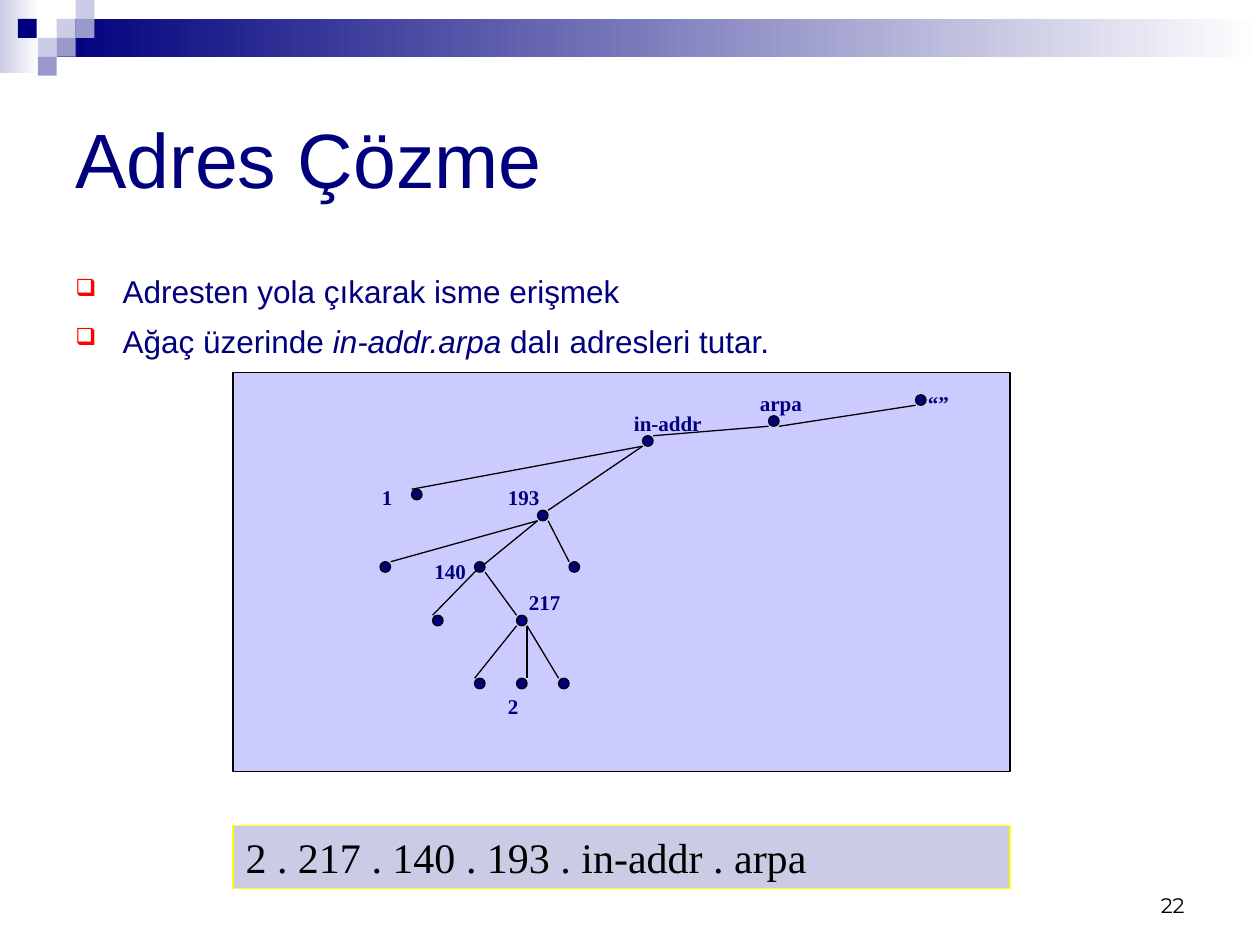
"""Build the reverse address lookup slide with its tree of names."""
from lxml import etree
from pptx import Presentation
from pptx.dml.color import RGBColor
from pptx.enum import shapes, text
from pptx.oxml.ns import qn
from pptx.util import Pt

PX = 7620
DOT = 10
HUES = {"navy": "00007D", "pale": "CCCCE6", "mid": "9999CC", "panel": "9999FF",
        "white": "FFFFFF", "black": "000000", "red": "FF0000", "yellow": "FFFF00"}
HUE = {name: RGBColor.from_string(code) for name, code in HUES.items()}


def draw(kind, box, fill, line=None, alpha=None):
    item = slide.shapes.add_shape(kind, *[n * PX for n in box])
    item.shadow.inherit = False
    if isinstance(fill, tuple):
        item.fill.gradient()
        item.fill.gradient_angle = 0
        for stop, name in zip(item.fill.gradient_stops, fill):
            stop.color.rgb = HUE[name]
    else:
        item.fill.solid()
        item.fill.fore_color.rgb = HUE[fill]
    if alpha:
        tone = item.fill._xPr.find(qn("a:solidFill"))[0]
        etree.SubElement(tone, qn("a:alpha"), val=str(alpha * 1000))
    if line:
        item.line.color.rgb = HUE[line]
        item.line.width = Pt(0.75)
    else:
        item.line.fill.background()
    return item


def write(item, words, size, font, hue, bold=False, anchor="TOP", align="LEFT"):
    frame = item.text_frame
    frame.text = words
    frame.word_wrap = True
    frame.vertical_anchor = text.MSO_ANCHOR[anchor]
    for para in frame.paragraphs:
        para.alignment = text.PP_ALIGN[align]
        for run in para.runs:
            run.font.size = Pt(size)
            run.font.name = font
            run.font.bold = bold
            run.font.color.rgb = HUE[hue]
    return frame


deck = Presentation()
deck.slide_width, deck.slide_height = 1200 * PX, 900 * PX
slide = deck.slides.add_slide(deck.slide_layouts[6])
rect, oval = shapes.MSO_SHAPE.RECTANGLE, shapes.MSO_SHAPE.OVAL

draw(rect, (0, 0, 37, 70), ("pale", "white"))
draw(rect, (54, 18, 1146, 36), ("navy", "white"))
for x, y, hue in [(54, 18, "pale"), (72, 0, "pale"), (72, 18, "mid"), (36, 36, "pale"),
                  (17, 18, "navy"), (54, 36, "mid"), (36, 54, "mid")]:
    draw(rect, (x, y, 18, 18), hue)

for box, words, size, font, hue, anchor, align in [
        ((860, 820, 280, 60), "22", 12, "Montserrat", "black", "BOTTOM", "RIGHT"),
        ((60, 60, 1080, 180), "Adres Çözme", 44, "Arial", "navy", "MIDDLE", "LEFT")]:
    item = slide.shapes.add_textbox(*[n * PX for n in box])
    write(item, words, size, font, hue, anchor=anchor, align=align)

item = slide.shapes.add_textbox(60 * PX, 260 * PX, 1080 * PX, 96 * PX)
body = write(item, "Adresten yola çıkarak isme erişmek\nAğaç üzerinde ", 18, "Arial", "navy")
last = body.paragraphs[1]
last.space_before = Pt(11.2)
for words, slant in [("in-addr.arpa", True), (" dalı adresleri tutar.", False)]:
    run = last.add_run()
    run.text = words
    run.font.size = Pt(18)
    run.font.name = "Arial"
    run.font.italic = slant
    run.font.color.rgb = HUE["navy"]
for para in body.paragraphs:
    para.line_spacing = 0.8
    prop = para._p.get_or_add_pPr()
    prop.set("marL", str(45 * PX))
    prop.set("indent", str(-45 * PX))
    tint = etree.SubElement(prop, qn("a:buClr"))
    etree.SubElement(tint, qn("a:srgbClr"), val=HUES["red"])
    etree.SubElement(prop, qn("a:buSzPct"), val="75000")
    etree.SubElement(prop, qn("a:buChar"), char="❑")

draw(rect, (222, 355, 740, 380), "panel", "black", 50)

nodes = {"root": (872, 376), "arpa": (732, 396), "in-addr": (612, 415),
         "1": (392, 466), "193": (512, 486),
         "left": (362, 535), "140": (452, 535), "right": (542, 535),
         "leaf": (412, 586), "217": (492, 586),
         "low": (452, 646), "2": (492, 646), "high": (532, 646)}
for x, y in nodes.values():
    draw(oval, (x, y, DOT, DOT), "navy", "black")

corner = {"TL": (0, 0), "TR": (DOT, 0), "BL": (0, DOT), "BR": (DOT, DOT)}
for top, start, low, end in [
        ("root", "BL", "arpa", "BR"), ("arpa", "BL", "in-addr", "TR"),
        ("in-addr", "BL", "1", "TL"), ("in-addr", "BL", "193", "TR"),
        ("193", "BL", "left", "TR"), ("193", "BL", "140", "BL"),
        ("193", "BR", "right", "TL"), ("140", "BL", "leaf", "TL"),
        ("140", "BR", "217", "TL"), ("217", "BL", "low", "TL"),
        ("217", "BR", "2", "TR"), ("217", "BR", "high", "TL")]:
    ends = [(a + b) * PX for node, side in ((top, start), (low, end))
            for a, b in zip(nodes[node], corner[side])]
    edge = slide.shapes.add_connector(shapes.MSO_CONNECTOR.STRAIGHT, *ends)
    edge.line.color.rgb = HUE["black"]
    edge.line.width = Pt(0.75)
    etree.SubElement(edge._element.spPr, qn("a:effectLst"))

for words, x, y, wide in [
        ("in-addr", 592, 385, 110), ("1", 352, 456, 130), ("arpa", 712, 366, 120),
        ("193", 472, 456, 130), ("“”", 872, 366, 80), ("140", 402, 526, 130),
        ("217", 492, 556, 130), ("2", 472, 655, 130)]:
    item = slide.shapes.add_textbox(x * PX, y * PX, wide * PX, 36 * PX)
    write(item, words, 12, "Times New Roman", "navy", bold=True)

bar = draw(rect, (222, 786, 740, 60), "mid", "yellow", 50)
write(bar, "2 . 217 . 140 . 193 . in-addr . arpa", 24, "Times New Roman", "black")

deck.save("out.pptx")
